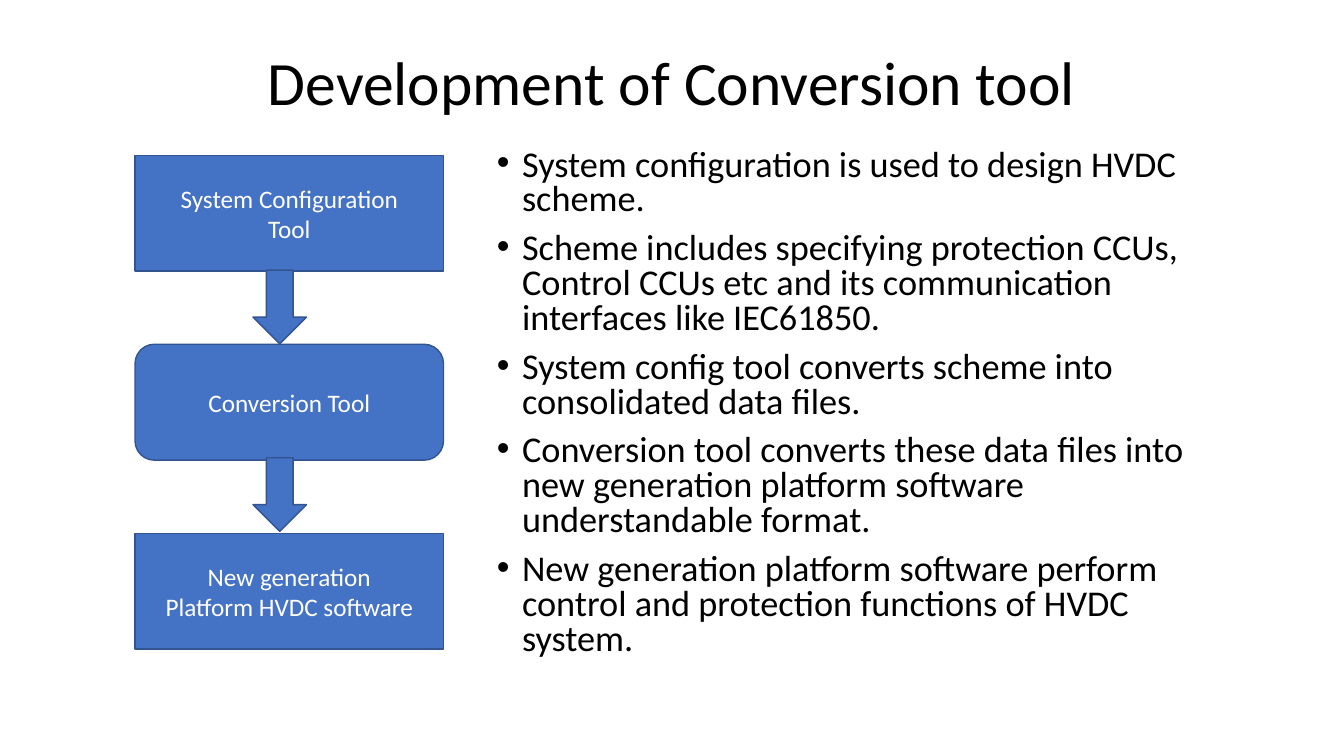
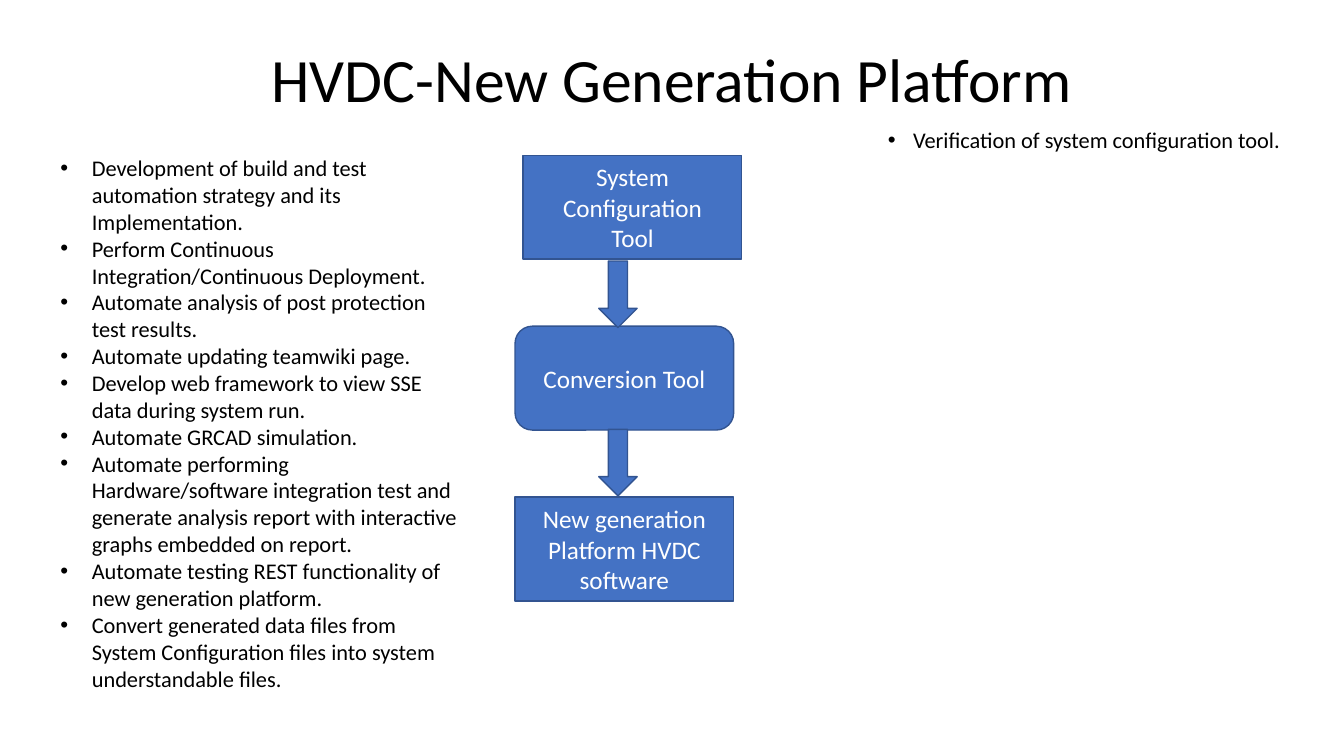
"""Build two slides about a conversion tool and a new generation HVDC platform."""
import dataclasses

import pptx
import pptx.dml.color
import pptx.enum.shapes
import pptx.enum.text
import pptx.oxml
import pptx.oxml.ns
import pptx.util

Pt = pptx.util.Pt
MSO_SHAPE = pptx.enum.shapes.MSO_SHAPE
ANCHOR = pptx.enum.text.MSO_ANCHOR
ALIGN = pptx.enum.text.PP_ALIGN


@dataclasses.dataclass(frozen=True)
class Theme:
    font: str = "Calibri"
    ink: str = "000000"
    fill: str = "4472C4"
    line: str = "325491"
    on_fill: str = "FFFFFF"
    title: float = 44
    lead: float = 25.9
    body: float = 16
    label: float = 18


THEME = Theme()

FLOW = (
    (MSO_SHAPE.RECTANGLE, ("System Configuration", "Tool")),
    (MSO_SHAPE.ROUNDED_RECTANGLE, ("Conversion Tool",)),
    (MSO_SHAPE.RECTANGLE, ("New generation", "Platform HVDC software")),
)

CONVERSION = (
    "System configuration is used to design HVDC scheme.",
    "Scheme includes specifying protection CCUs, Control CCUs etc and its "
    "communication interfaces like IEC61850.",
    "System config tool converts scheme into consolidated data files.",
    "Conversion tool converts these data files into new generation platform "
    "software understandable format.",
    "New generation platform software perform control and protection "
    "functions of HVDC system.",
)

AUTOMATION = (
    "Development of build and test automation strategy and its Implementation.",
    "Perform Continuous Integration/Continuous Deployment.",
    "Automate analysis of post protection test results.",
    "Automate updating teamwiki page.",
    "Develop web framework to view SSE data during system run.",
    "Automate GRCAD simulation.",
    "Automate performing Hardware/software integration test and generate "
    "analysis report with interactive graphs embedded on report.",
    "Automate testing REST functionality of new generation platform.",
    "Convert generated data files from System Configuration files into system "
    "understandable files.",
)

VERIFICATION = ("Verification of system configuration tool.",)


def rgb(value):
    return pptx.dml.color.RGBColor.from_string(value)


def write(tf, lines, size, color, align=ALIGN.LEFT, spacing=1.0, before=0):
    tf.word_wrap = True
    tf.text = "\n".join(lines)
    for p in tf.paragraphs:
        p.alignment = align
        p.line_spacing = spacing
        p.space_before = Pt(before)
        for r in p.runs:
            r.font.name = THEME.font
            r.font.size = Pt(size)
            r.font.color.rgb = rgb(color)


def add_text_box(slide, box):
    return slide.shapes.add_textbox(*map(Pt, box)).text_frame


def add_title(slide, text, height):
    tf = add_text_box(slide, (66, 28.8, 828, height))
    tf.vertical_anchor = ANCHOR.MIDDLE
    write(tf, (text,), THEME.title, THEME.ink, ALIGN.CENTER, 0.9)


def add_bullets(slide, box, lines, size, indent=18, spacing=1.0, before=0):
    tf = add_text_box(slide, box)
    write(tf, lines, size, THEME.ink, spacing=spacing, before=before)
    for p in tf.paragraphs:
        pPr = p._p.get_or_add_pPr()
        pPr.set("marL", str(Pt(indent)))
        pPr.set("indent", str(-Pt(indent)))
        for tag, key, value in (("a:buFont", "typeface", "Arial"),
                                ("a:buChar", "char", "\u2022")):
            bullet = pptx.oxml.ns.qn(tag)
            pPr.append(pPr.makeelement(bullet, {key: value}))


def add_block(group, kind, box):
    sp = group.shapes.add_shape(kind, *map(Pt, box))
    sp.shadow.inherit = False
    sp.fill.solid()
    sp.fill.fore_color.rgb = rgb(THEME.fill)
    sp.line.color.rgb = rgb(THEME.line)
    sp.line.width = Pt(1)
    return sp


def add_flow(slide, lefts, step_size, step_pitch, arrow_box, arrow_pitch):
    group = slide.shapes.add_group_shape()
    for i, ((kind, lines), left) in enumerate(zip(FLOW, lefts)):
        sp = add_block(group, kind, (left, 110.9 + i * step_pitch, *step_size))
        tf = sp.text_frame
        tf.vertical_anchor = ANCHOR.MIDDLE
        write(tf, lines, THEME.label, THEME.on_fill, ALIGN.CENTER)
    left, top, width, height = arrow_box
    for i in range(len(FLOW) - 1):
        add_block(group, MSO_SHAPE.DOWN_ARROW,
                  (left, top + i * arrow_pitch, width, height))


def add_conversion_slide(prs):
    slide = prs.slides.add_slide(prs.slide_layouts[6])
    add_title(slide, "Development of Conversion tool", 64)
    add_bullets(slide, (347.8, 103, 522, 383), CONVERSION, THEME.lead,
                spacing=0.8, before=10)
    add_flow(slide, (96.5, 96.5, 96.5), (220.3, 82.8), 135,
             (180.7, 193, 38.2, 52.6), 134)


def add_platform_slide(prs):
    slide = prs.slides.add_slide(prs.slide_layouts[6])
    add_title(slide, "HVDC-New Generation Platform", 59.8)
    add_bullets(slide, (627.1, 88.6, 301.7, 374.4), VERIFICATION, THEME.body,
                spacing=0.9, before=10)
    add_bullets(slide, (36, 106.6, 301.7, 395.3), AUTOMATION, THEME.body,
                indent=22.5)
    add_flow(slide, (373.7, 367.9, 367.9), (156.2, 74.2), 122.1,
             (427.7, 186.5, 27.4, 47.5), 120.2)


def main():
    prs = pptx.Presentation()
    prs.slide_width, prs.slide_height = Pt(960), Pt(540)
    add_conversion_slide(prs)
    add_platform_slide(prs)
    prs.save("out.pptx")


main()
